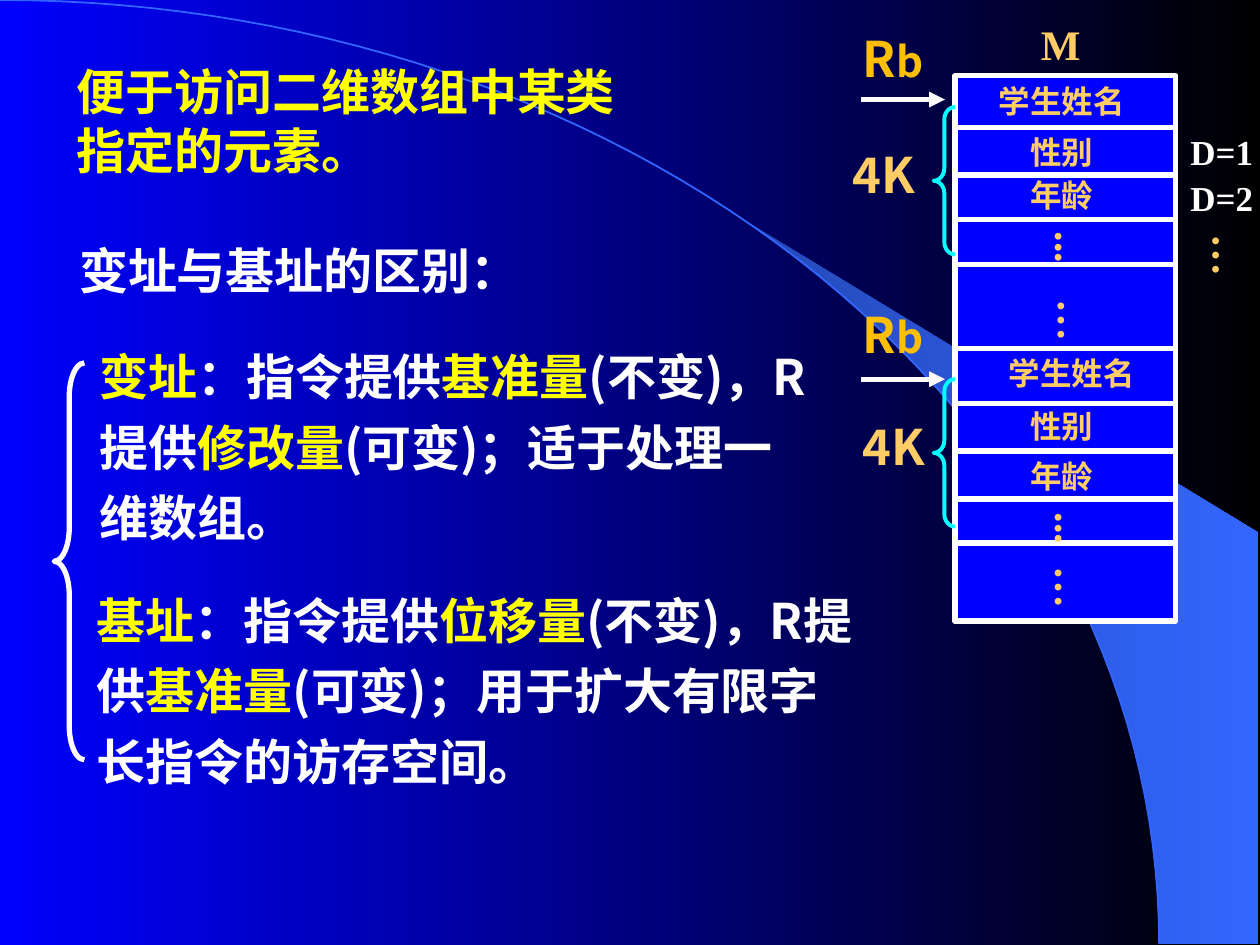
from math import acos, cos, radians, sin

from lxml import etree
from pptx import Presentation
from pptx.dml.color import RGBColor
from pptx.enum.shapes import MSO_CONNECTOR, MSO_SHAPE
from pptx.enum.text import MSO_AUTO_SIZE
from pptx.oxml.ns import qn
from pptx.util import Emu, Pt

PX = 9144
STRAIGHT = MSO_CONNECTOR.STRAIGHT
RECTANGLE = MSO_SHAPE.RECTANGLE
LEFT_BRACE = MSO_SHAPE.LEFT_BRACE
FIT = MSO_AUTO_SIZE.SHAPE_TO_FIT_TEXT

SANS = "Noto Sans CJK SC"
SERIF = "Times New Roman"
YELLOW, WHITE, OFF_WHITE = "FFFF00", "FFFFFF", "FDFBFB"
GOLD, AMBER, CYAN, BLUE, SKY = "FFCC66", "FFBF09", "00FFFF", "0000FF", "3366FF"


def px(value):
    return Emu(round(value * PX))


def color(hex_string):
    return RGBColor.from_string(hex_string)


def gradient(fill, first, last):
    fill.gradient()
    fill.gradient_angle = 0
    for stop, position, shade in zip(fill.gradient_stops, (0, 1), (first, last)):
        stop.position = position
        stop.color.rgb = color(shade)


def add_text(slide, box, paragraphs, size, line_spacing=None, vertical=False):
    label = slide.shapes.add_textbox(*map(px, box))
    frame = label.text_frame
    frame.word_wrap = True
    frame.auto_size = FIT
    if vertical:
        frame._txBody.bodyPr.set("vert", "eaVert")
    for index, pieces in enumerate(paragraphs):
        paragraph = frame.add_paragraph() if index else frame.paragraphs[0]
        if index:
            paragraph.space_before = Pt(size / 2)
        if line_spacing:
            paragraph.line_spacing = line_spacing
        for text, shade, font_name, *own_size in pieces:
            run = paragraph.add_run()
            run.text = text
            font = run.font
            font.size = Pt(own_size[0] if own_size else size)
            font.bold = True
            font.name = font_name
            font.color.rgb = color(shade)
            east_asian = etree.SubElement(run._r.get_or_add_rPr(), qn("a:ea"))
            east_asian.set("typeface", SANS)


def add_line(slide, start, end, shade, arrow=False):
    line = slide.shapes.add_connector(STRAIGHT, *map(px, start + end))
    line.line.color.rgb = color(shade)
    line.line.width = Pt(3)
    if arrow:
        etree.SubElement(line.line._get_or_add_ln(), qn("a:tailEnd")).set("type", "triangle")
    etree.SubElement(line._element.spPr, qn("a:effectLst"))
    return line


def add_brace(slide, box, bend, shade, width):
    brace = slide.shapes.add_shape(LEFT_BRACE, *map(px, box))
    brace.shadow.inherit = False
    brace.adjustments[0] = bend
    brace.fill.background()
    brace.line.color.rgb = color(shade)
    brace.line.width = Pt(width)


def add_outline(slide, points, close):
    start, *rest = [(px(x), px(y)) for x, y in points]
    builder = slide.shapes.build_freeform(*start)
    builder.add_line_segments(rest, close=close)
    outline = builder.convert_to_shape()
    outline.shadow.inherit = False
    return outline


def draw_backdrop(slide, box):
    left, top, width, height = box
    gradient(slide.background.fill, BLUE, "000000")

    def arc(start_angle, steps=60):
        angles = [start_angle * (1 - step / steps) for step in range(steps + 1)]
        return [(left + width * cos(a), top + height * (1 - sin(a))) for a in angles]

    corners = [(999, top + height), (999, 423)]
    beam = add_outline(slide, arc(acos(589 / width)) + corners, True)
    gradient(beam.fill, "2449B6", SKY)
    beam.line.fill.background()
    horizon = add_outline(slide, arc(radians(90)), False)
    horizon.fill.background()
    horizon.line.color.rgb = color(SKY)
    horizon.line.width = Pt(1)


def draw_explanation(slide, box):
    left, top, width, _ = box
    add_text(slide, (left + 8, top, 572, 89),
             [[("便于访问二维数组中某类", YELLOW, SANS)], [("指定的元素。", YELLOW, SANS)]],
             28, 0.6)
    add_text(slide, (left + 10, top + 126, 375, 57),
             [[("变址与基址的区别：", WHITE, SERIF)]], 28)
    modes = (
        ((26, 201, 588), "变址", "基准量", "修改量", "适于处理一维数组。"),
        ((24, 394, width - 24), "基址", "位移量", "基准量", "用于扩大有限字长指令的访存空间。"),
    )
    for (x, y, mode_width), mode, fixed, variable, purpose in modes:
        sentence = [
            (mode, YELLOW, SERIF), ("：指令提供", WHITE, SERIF), (fixed, YELLOW, SERIF),
            ("(", WHITE, SANS), ("不变", WHITE, SERIF), (")", WHITE, SANS),
            ("，", WHITE, SERIF), ("R提供", WHITE, SANS), (variable, YELLOW, SANS),
            ("(可变)；" + purpose, WHITE, SANS),
        ]
        add_text(slide, (left + x, top + y, mode_width, 178), [sentence], 28, 1.2)
    add_brace(slide, (left, top + 228, 24, 315), 1.112, OFF_WHITE, 3)


def draw_memory(slide, box):
    left, top, width, height = box
    memory = slide.shapes.add_shape(RECTANGLE, *map(px, box))
    memory.shadow.inherit = False
    memory.fill.solid()
    memory.fill.fore_color.rgb = color(BLUE)
    memory.line.color.rgb = color(WHITE)
    memory.line.width = Pt(3)
    for offset in (41, 79, 114, 150, 260, 298, 336, 371):
        y = top + offset
        add_line(slide, (left, y), (left + width, y), WHITE)
    middle = top + height / 2
    divider = add_line(slide, (left, middle), (left + width, middle), WHITE)
    divider.begin_connect(memory, 1)
    divider.end_connect(memory, 3)

    add_text(slide, (left + 50, top - 50, 108, 50), [[(" M", GOLD, SERIF)]], 24)
    fields = (
        ("学生姓名", 25, 0), ("性别", 50, 41), ("年龄", 50, 75),
        ("学生姓名", 33, 216), ("性别", 50, 258), ("年龄", 50, 298),
    )
    for field, x, y in fields:
        add_text(slide, (left + x, top + y, 133, 40), [[(field, GOLD, SERIF)]], 18)
    ellipses = (
        ("...", 58, 114, 58), ("...", 58, 337, 58),
        ("…", 60, 168, 50), ("…", 58, 380, 50), ("…", 183, 116, 50),
    )
    for dots, x, y, dots_height in ellipses:
        add_text(slide, (left + x, top + y, 60, dots_height),
                 [[(dots, GOLD, SERIF)]], 24, vertical=True)
    for displacement, y in (("D=1", 39), ("D=2", 75)):
        add_text(slide, (left + width + 2, top + y, 117, 43),
                 [[(displacement, WHITE, SERIF)]], 20)


def draw_record_pointer(slide, box, base_y, arrow_y, size_x, size_y):
    left, top, width, height = box
    add_text(slide, (left + 9, base_y, 92, 57),
             [[("R", AMBER, SANS), ("b", AMBER, SANS, 24)]], 28)
    add_line(slide, (left + 17, arrow_y), (left + 84, arrow_y), OFF_WHITE, arrow=True)
    add_brace(slide, (left + width - 17, top, 17, height), 0.583, CYAN, 2.25)
    add_text(slide, (size_x, size_y, 100, 57), [[(" 4K", GOLD, SANS)]], 28)


def main():
    deck = Presentation()
    deck.slide_width, deck.slide_height = px(1000), px(750)
    slide = deck.slides.add_slide(deck.slide_layouts[6])
    draw_backdrop(slide, (0, 0, 920, 749))
    draw_explanation(slide, (43, 60, 646, 572))
    draw_memory(slide, (758, 60, 175, 433))
    draw_record_pointer(slide, (666, 85, 92, 117), 18, 79, 658, 110)
    draw_record_pointer(slide, (666, 301, 92, 117), 237, 301, 666, 326)
    deck.save("out.pptx")


if __name__ == "__main__":
    main()
